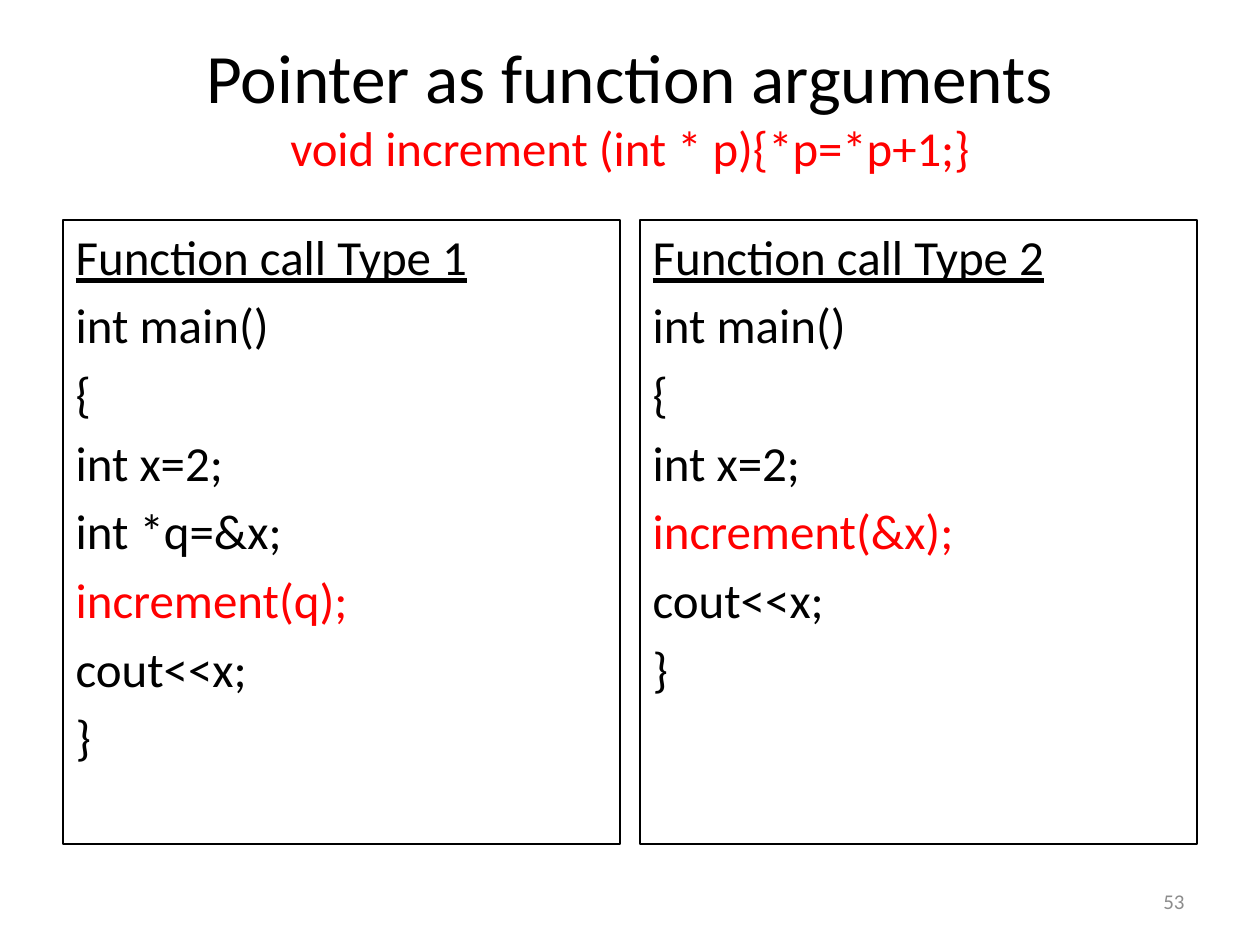
from pptx import Presentation
from pptx.dml.color import RGBColor as Rgb
from pptx.enum.text import MSO_ANCHOR as Anchor, MSO_AUTO_SIZE as Fit, PP_ALIGN as Align
from pptx.oxml.xmlchemy import OxmlElement as Node
from pptx.util import Pt

SCALE = 914400 / 126
BLACK, RED, GRAY = "000000", "FF0000", "8C8C8C"


def emu(px):
    return round(px * SCALE)


def color(code):
    return Rgb.from_string(code)


class Deck:
    font = "Calibri"

    def __init__(self, wide, high):
        self.file = Presentation()
        self.file.slide_width, self.file.slide_height = emu(wide), emu(high)
        self.slide = self.file.slides.add_slide(self.file.slide_layouts[3])

    def place(self, shape, left, top, wide, high):
        shape.left, shape.top = emu(left), emu(top)
        shape.width, shape.height = emu(wide), emu(high)
        frame = shape.text_frame
        frame.word_wrap = True
        frame.auto_size = Fit.NONE
        return frame

    def style(self, item, size, code):
        font = item.font
        font.name, font.size = self.font, Pt(size)
        font.color.rgb = color(code)

    def title(self, box, head, sub):
        frame = self.place(self.slide.shapes.title, *box)
        frame.vertical_anchor = Anchor.MIDDLE
        frame.margin_bottom = emu(80)
        para = frame.paragraphs[0]
        para.alignment = Align.CENTER
        for row, (text, size, code) in enumerate((head, sub)):
            if row:
                para.add_line_break()
            run = para.add_run()
            run.text = text
            self.style(run, size, code)

    def panel(self, index, box, lines):
        shape = self.slide.placeholders[index]
        frame = self.place(shape, *box)
        shape.line.color.rgb = color(BLACK)
        shape.line.width = Pt(0.75)
        frame.text = "\n".join(lines)
        for row, para in enumerate(frame.paragraphs):
            self.style(para, 28, RED if para.text.startswith("increment") else BLACK)
            para.font.underline = row == 0
            props = para._p.get_or_add_pPr()
            props.set("marL", str(emu(48)))
            props.set("indent", str(-emu(48)))
            props.insert(0, Node("a:buNone"))

    def number(self, box, text):
        frame = self.place(self.slide.shapes.add_textbox(0, 0, 0, 0), *box)
        frame.vertical_anchor = Anchor.MIDDLE
        frame.text = text
        para = frame.paragraphs[0]
        para.alignment = Align.RIGHT
        self.style(para, 12, GRAY)


def main():
    deck = Deck(1260, 945)
    deck.title(
        (63, 63, 1134, 158),
        ("Pointer as function arguments", 39.6, BLACK),
        ("void increment (int * p){*p=*p+1;}", 27.9, RED),
    )
    start = ["int main()", "{", "int x=2;"]
    end = ["cout<<x;", "}"]
    calls = (["int *q=&x;", "increment(q);"], ["increment(&x);"])
    for index, call in enumerate(calls, 1):
        left = 63 + (index - 1) * 577
        lines = [f"Function call Type {index}", *start, *call, *end]
        deck.panel(index, (left, 220, 557, 624), lines)
    deck.number((903, 876, 294, 50), "53")
    deck.file.save("out.pptx")


if __name__ == "__main__":
    main()
